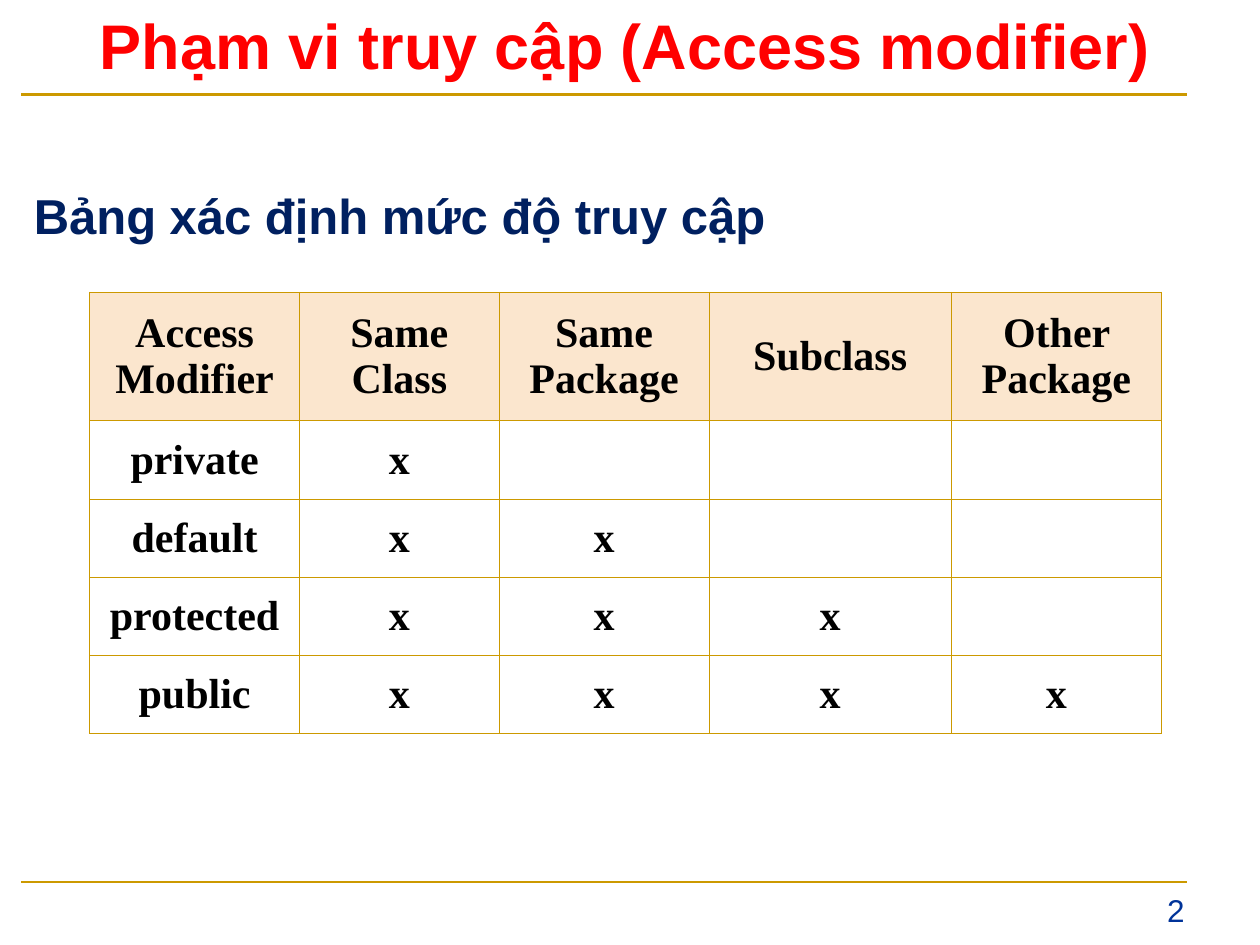
"""Builds a slide with a table of access modifiers and their scope."""
from lxml.etree import SubElement as Sub
from pptx import Presentation
from pptx.dml.color import RGBColor as Rgb
from pptx.enum.shapes import MSO_CONNECTOR as Link, MSO_SHAPE as Shape
from pptx.enum.text import MSO_ANCHOR as Anchor, PP_ALIGN as Align
from pptx.oxml.ns import qn
from pptx.util import Inches, Pt

HUES = {
    "gold": "CC9900", "red": "FF0000", "navy": "002060", "blue": "003399",
    "cream": "FBE6CE", "white": "FFFFFF", "black": "000000",
}
HEADS = ["Access Modifier", "Same Class", "Same Package", "Subclass", "Other Package"]
NAMES = ["private", "default", "protected", "public"]
COLS = [1.67, 1.58, 1.67, 1.92, 1.67]
ROWS = [1.02] + [0.62] * len(NAMES)


class Deck:
    """Holds the style and the current slide."""

    def __init__(self):
        self.file = Presentation()
        self.file.slide_width, self.file.slide_height = Inches(10), Inches(7.5)
        self.slide = self.file.slides.add_slide(self.file.slide_layouts[5])

    def hue(self, name):
        return Rgb.from_string(HUES[name])

    def label(self, frame, text, size, hue, align, bold=True, font="Arial"):
        para = frame.paragraphs[0]
        para.alignment = align
        run = para.add_run()
        run.text = text
        run.font.size, run.font.bold, run.font.name = Pt(size), bold, font
        run.font.color.rgb = self.hue(hue)
        return para

    def place(self, shape, box):
        shape.left, shape.top, shape.width, shape.height = map(Inches, box)
        frame = shape.text_frame
        frame.word_wrap = True
        frame.vertical_anchor = Anchor.TOP
        return frame

    def title(self, text, box):
        frame = self.place(self.slide.shapes.title, box)
        self.label(frame, text, 36, "red", Align.CENTER)

    def band(self, text, box):
        shape = self.slide.shapes.add_shape(Shape.RECTANGLE, *map(Inches, box))
        shape.shadow.inherit = False
        shape.fill.solid()
        shape.fill.fore_color.rgb = self.hue("white")
        shape.line.fill.background()
        frame = self.place(shape, box)
        self.label(frame, text, 28, "navy", Align.JUSTIFY).line_spacing = 1.2

    def note(self, text, box):
        shape = self.slide.shapes.add_textbox(*map(Inches, box))
        frame = self.place(shape, box)
        self.label(frame, text, 18, "blue", Align.RIGHT, bold=False)

    def rule(self, top, width):
        line = self.slide.shapes.add_connector(
            Link.STRAIGHT, Inches(0.17), Inches(top), Inches(9.42), Inches(top))
        line.line.color.rgb = self.hue("gold")
        line.line.width = Pt(width)
        Sub(line._element.spPr, qn("a:effectLst"))

    def edge(self, cell):
        props = cell._tc.get_or_add_tcPr()
        for side in ("lnL", "lnR", "lnT", "lnB"):
            line = Sub(props, qn(f"a:{side}"), w=str(Pt(0.45)))
            fill = Sub(line, qn("a:solidFill"))
            Sub(fill, qn("a:srgbClr"), val=HUES["gold"])

    def cell(self, cell, text, head):
        self.edge(cell)
        if head:
            cell.fill.solid()
            cell.fill.fore_color.rgb = self.hue("cream")
        else:
            cell.fill.background()
        cell.vertical_anchor = Anchor.MIDDLE
        cell.margin_left = cell.margin_right = Inches(0.11)
        if text:
            self.label(cell.text_frame, text, 24, "black", Align.CENTER,
                       font="Times New Roman")

    def table(self, data, left, top):
        box = (left, top, sum(COLS), sum(ROWS))
        grid = self.slide.shapes.add_table(
            len(ROWS), len(COLS), *map(Inches, box)).table
        grid.first_row = grid.horz_banding = False
        for col, width in zip(grid.columns, COLS):
            col.width = Inches(width)
        for r, (row, high) in enumerate(zip(data, ROWS)):
            grid.rows[r].height = Inches(high)
            for c, text in enumerate(row):
                self.cell(grid.cell(r, c), text, r == 0)


def main():
    deck = Deck()
    deck.rule(7, 1.5)
    deck.note("2", (7.67, 7.02, 1.83, 0.4))
    deck.rule(0.75, 2.25)
    deck.title("Phạm vi truy cập (Access modifier)", (0, 0, 9.92, 0.7))
    deck.band("Bảng xác định mức độ truy cập", (0.17, 1.33, 9.58, 0.66))
    wide = len(NAMES)
    body = [[name] + ["x"] * n + [""] * (wide - n)
            for n, name in enumerate(NAMES, 1)]
    deck.table([HEADS] + body, 0.71, 2.32)
    deck.file.save("out.pptx")


if __name__ == "__main__":
    main()
